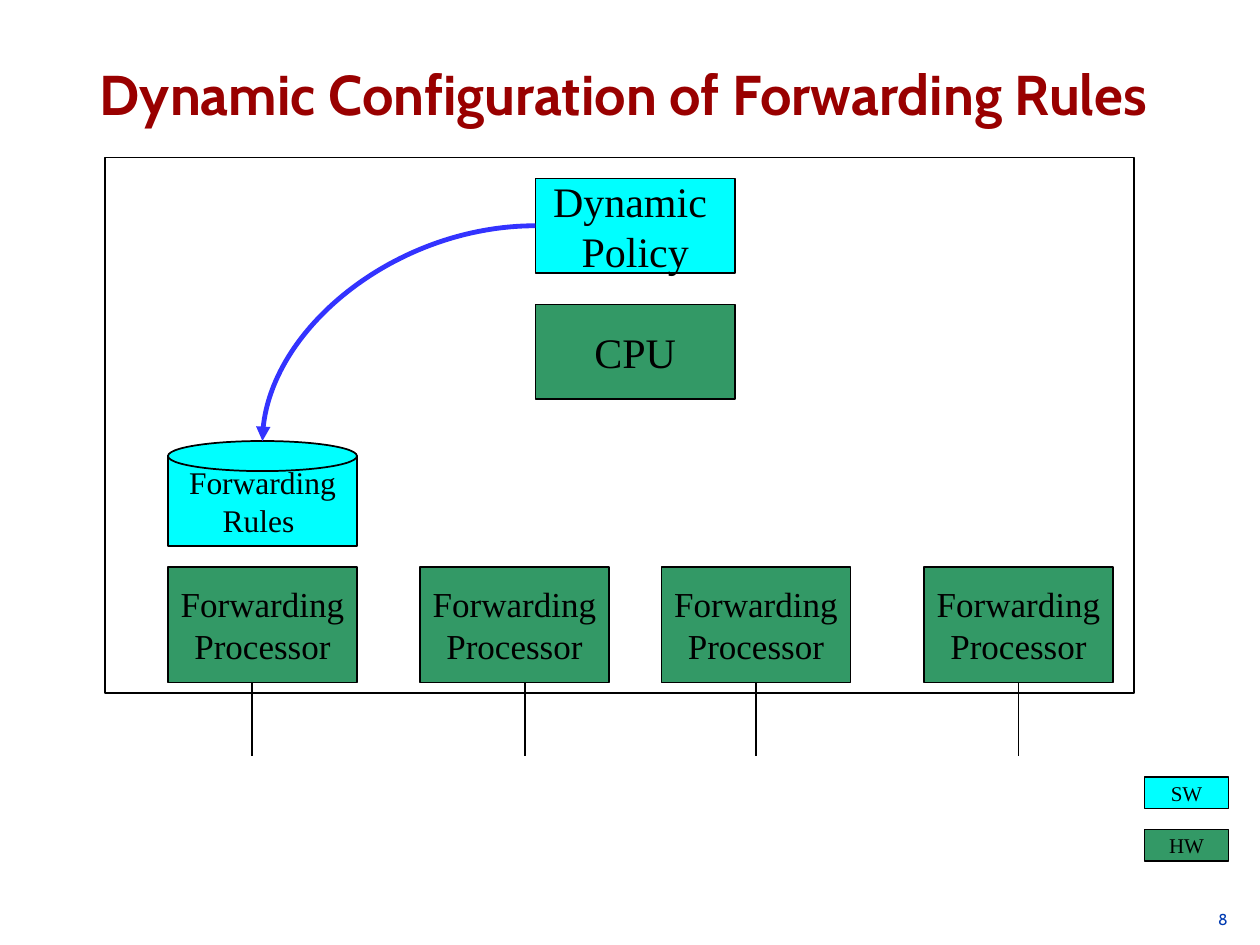
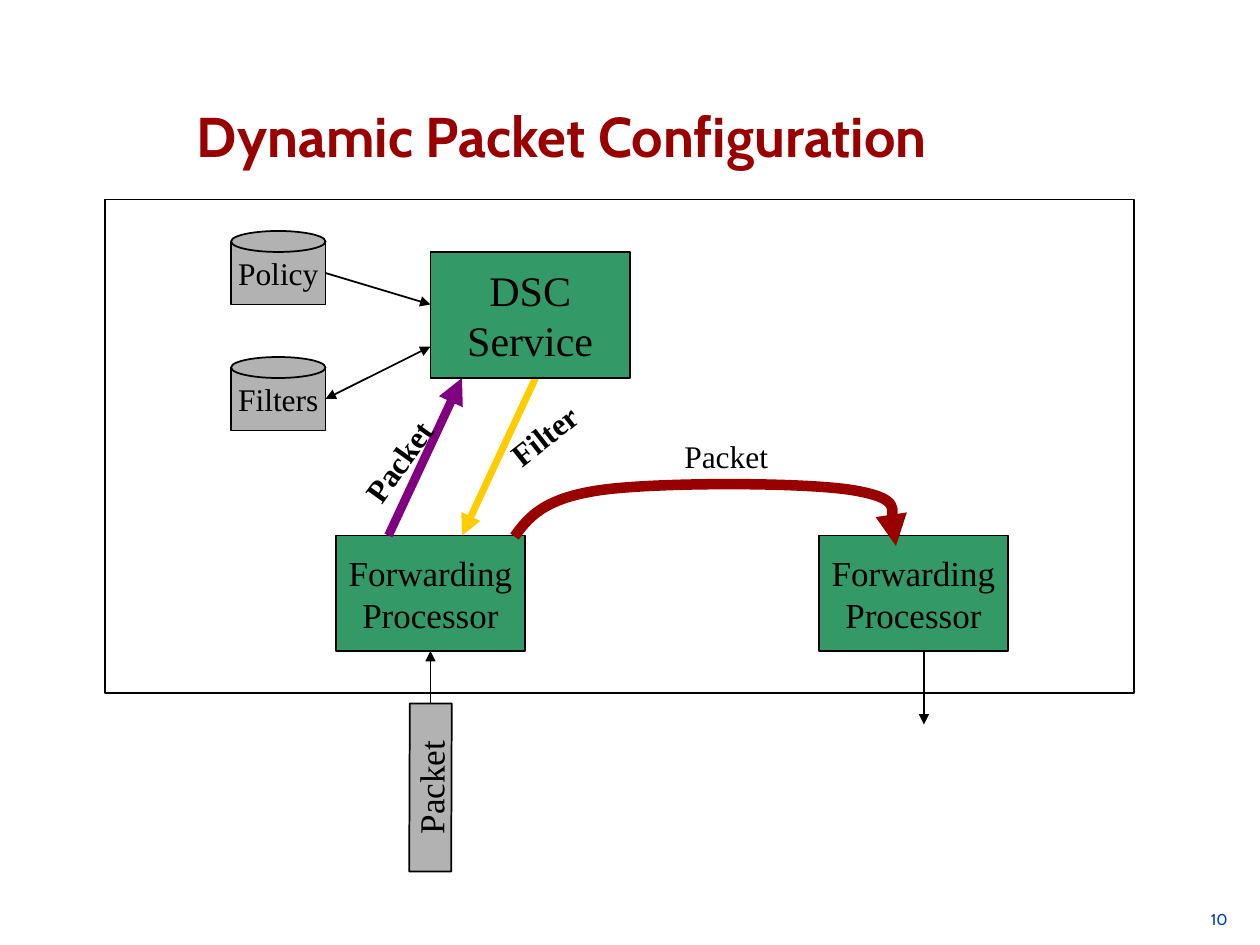
"""Build two slides on dynamic forwarding rules and packet configuration."""
from dataclasses import dataclass
from typing import Any, NamedTuple

from lxml.etree import SubElement
from pptx import Presentation
from pptx.dml.color import RGBColor
from pptx.enum.shapes import MSO_CONNECTOR as CONN, MSO_SHAPE as SHAPE
from pptx.enum.text import MSO_ANCHOR as ANCHOR, MSO_AUTO_SIZE as AUTO, PP_ALIGN as ALIGN
from pptx.oxml.ns import qn
from pptx.util import Pt


@dataclass(frozen=True)
class Theme:
    """Colours, fonts and type sizes of the deck."""
    title: str = "990000"
    number: str = "003BB2"
    ink: str = "000000"
    hardware: str = "339966"
    software: str = "00FFFF"
    store: str = "B2B2B2"
    policy_flow: str = "3333FF"
    packet_flow: str = "800080"
    filter_flow: str = "FFCC00"
    forward_flow: str = "990000"
    heading_font: str = "Cabin"
    body_font: str = "Times New Roman"
    title_size: float = 32
    large: float = 24
    medium: float = 20
    label: float = 18
    legend: float = 12
    number_size: float = 9
    thin: float = 0.75
    line: float = 1


T = Theme()


class Box(NamedTuple):
    """Left, top, width and height in points."""
    x: float
    y: float
    w: float
    h: float


@dataclass(frozen=True)
class Node:
    """A filled rectangle with centred text."""
    text: str
    box: Box
    fill: str | None = T.hardware
    size: float = T.medium
    weight: float = T.thin
    rotation: float = 0


@dataclass(frozen=True)
class Cylinder:
    """A data store with an elliptical lid."""
    text: str
    body: Box
    lid_height: float
    fill: str


@dataclass(frozen=True)
class Label:
    """Free text over the diagram."""
    text: str
    box: Box
    rotation: float = 0
    bold: bool = False
    wrap: bool = True


@dataclass(frozen=True)
class Link:
    """A straight line with optional arrowheads."""
    start: tuple[float, float]
    end: tuple[float, float]
    color: str = T.ink
    weight: float = T.line
    ends: tuple[str, ...] = ()


def apply(obj: Any, **fmt: Any) -> None:
    """Set each attribute named in the format."""
    for name, value in fmt.items():
        setattr(obj, name, value)


def points(values: tuple[float, ...]) -> list[Pt]:
    """Convert numbers to point lengths."""
    return [Pt(v) for v in values]


def write(sp: Any, text: str, size: float, color: str = T.ink, font: str = T.body_font,
          bold: bool = False, align: Any = ALIGN.CENTER, anchor: Any = ANCHOR.MIDDLE,
          wrap: bool = False, inset: tuple[float, float] = (7.2, 3.6),
          spacing: float = 1.0) -> None:
    """Fill a shape with formatted text, one paragraph a line."""
    tf = sp.text_frame
    tf.text = text
    side, edge = points(inset)
    apply(tf, auto_size=AUTO.NONE, word_wrap=wrap, vertical_anchor=anchor,
          margin_left=side, margin_right=side, margin_top=edge, margin_bottom=edge)
    for p in tf.paragraphs:
        apply(p, alignment=align, line_spacing=spacing)
        for r in p.runs:
            apply(r.font, name=font, size=Pt(size), bold=bold)
            r.font.color.rgb = RGBColor.from_string(color)


def outline(sp: Any, color: str, weight: float) -> None:
    """Set the line colour and width."""
    sp.line.color.rgb = RGBColor.from_string(color)
    sp.line.width = Pt(weight)


def add_preset(shapes: Any, kind: Any, box: Box, fill: str | None, weight: float) -> Any:
    """Add a flat preset shape."""
    sp = shapes.add_shape(kind, *points(box))
    sp.shadow.inherit = False
    if fill:
        sp.fill.solid()
        sp.fill.fore_color.rgb = RGBColor.from_string(fill)
    else:
        sp.fill.background()
    outline(sp, T.ink, weight)
    return sp


def add_node(shapes: Any, node: Node) -> Any:
    """Add a labelled rectangle."""
    sp = add_preset(shapes, SHAPE.RECTANGLE, node.box, node.fill, node.weight)
    sp.rotation = node.rotation
    if node.text:
        write(sp, node.text, node.size)
    return sp


def add_cylinder(s: Any, store: Cylinder) -> Any:
    """Add a grouped data store and return its lid."""
    shapes = s.shapes.add_group_shape().shapes
    add_node(shapes, Node(store.text, store.body, store.fill, T.label, T.line))
    x, y, w, _ = store.body
    lid = Box(x, y - store.lid_height / 2, w, store.lid_height)
    return add_preset(shapes, SHAPE.OVAL, lid, store.fill, T.line)


def add_label(s: Any, label: Label) -> None:
    """Add free text."""
    sp = s.shapes.add_textbox(*points(label.box))
    sp.rotation = label.rotation
    write(sp, label.text, T.label, bold=label.bold, wrap=label.wrap)


def add_heads(sp: Any, ends: tuple[str, ...]) -> None:
    """Add triangular arrowheads to a line."""
    ln = sp._element.spPr.get_or_add_ln()
    for end in ends:
        SubElement(ln, qn(f"a:{end}"), type="triangle")


def add_link(s: Any, link: Link, kind: Any = CONN.STRAIGHT) -> Any:
    """Add a flat connector."""
    c = s.shapes.add_connector(kind, *points(link.start + link.end))
    outline(c, link.color, link.weight)
    add_heads(c, link.ends)
    SubElement(c._element.spPr, qn("a:effectLst"))
    return c


def add_curve(s: Any, path: list[tuple[float, float]], color: str, weight: float) -> None:
    """Add an open cubic curve ending in an arrowhead."""
    start, *rest = [tuple(points(xy)) for xy in path]
    builder = s.shapes.build_freeform(*start, scale=1.0)
    builder.add_line_segments(rest, close=False)
    sp = builder.convert_to_shape()
    sp.shadow.inherit = False
    sp.fill.background()
    outline(sp, color, weight)
    add_heads(sp, ("tailEnd",))
    geometry = next(sp._element.iter(qn("a:path")))
    segments = geometry.findall(qn("a:lnTo"))
    for i in range(0, len(segments), 3):
        bezier = SubElement(geometry, qn("a:cubicBezTo"))
        for segment in segments[i:i + 3]:
            bezier.append(segment[0])
            geometry.remove(segment)


def start_slide(prs: Any, title: str, box: Box, number: int) -> Any:
    """Add a slide with its title and number."""
    s = prs.slides.add_slide(prs.slide_layouts[5])
    sp = s.shapes.title
    apply(sp, **dict(zip(("left", "top", "width", "height"), points(box))))
    write(sp, title, T.title_size, T.title, T.heading_font, bold=True,
          anchor=ANCHOR.BOTTOM, wrap=True, inset=(3.6, 3.6), spacing=0.93)
    sp = s.shapes.add_textbox(*points(Box(484.5, 520, 223.5, 12)))
    write(sp, str(number), T.number_size, T.number, T.heading_font,
          align=ALIGN.RIGHT, anchor=ANCHOR.TOP, wrap=True, inset=(6.5, 0))
    return s


def processor(x: float, y: float) -> Node:
    """Describe a forwarding processor."""
    return Node("Forwarding\nProcessor", Box(x, y, 108, 66))


def build_rules(prs: Any) -> None:
    """Draw the forwarding rules slide."""
    s = start_slide(prs, "Dynamic Configuration of Forwarding Rules ", Box(0, 24, 720, 52.5), 8)
    add_node(s.shapes, Node("CPU", Box(306, 174, 114, 54), size=T.large))
    for x, port in ((96, 144), (240, 300), (378, 432), (528, 582)):
        add_node(s.shapes, processor(x, 324))
        add_link(s, Link((port, 390), (port, 432)))
    add_node(s.shapes, Node("", Box(60, 90, 588, 306), None))
    lid = add_cylinder(s, Cylinder("Forwarding\nRules ", Box(96, 260.6, 108, 51.4), 17.2,
                                   T.software))
    policy = add_node(s.shapes, Node("Dynamic \nPolicy", Box(306, 102, 114, 54),
                                     T.software, T.large, T.line))
    flow = add_link(s, Link((306, 129), (150, 252), T.policy_flow, 2.75, ("tailEnd",)),
                    CONN.CURVE)
    flow._element.spPr.find(qn("a:prstGeom")).set("prst", "curvedConnector2")
    flow.begin_connect(policy, 1)
    flow.end_connect(lid, 0)
    for text, y, fill, weight in (("SW", 444, T.software, T.line),
                                  ("HW", 474, T.hardware, T.thin)):
        add_node(s.shapes, Node(text, Box(654, y, 48, 18), fill, T.legend, weight))


def build_packets(prs: Any) -> None:
    """Draw the packet configuration slide."""
    s = start_slide(prs, "Dynamic Packet Configuration", Box(12, 48, 618.5, 52.5), 10)
    for x in (192, 468):
        add_node(s.shapes, processor(x, 306))
    add_node(s.shapes, Node("", Box(60, 114, 588, 282), None))
    both = ("headEnd", "tailEnd")
    for link in (
        Link((246, 414), (246, 372), ends=("tailEnd",)),
        Link((528, 372), (528, 414), ends=("tailEnd",)),
        Link((222, 306), (264, 216), T.packet_flow, 5, ("tailEnd",)),
        Link((186, 156), (246, 174), ends=("tailEnd",)),
        Link((186, 228), (246, 198), ends=both),
        Link((306, 216), (264, 306), T.filter_flow, 4, ("tailEnd",)),
    ):
        add_link(s, link)
    add_curve(s, [(294, 306.6), (301.8, 296), (310, 285), (342.5, 280.2),
                  (374.5, 275.5), (459.5, 275.5), (487.6, 280.2),
                  (516, 285), (507.6, 302), (512, 306.6),
                  (516, 312), (514, 312), (512, 312)], T.forward_flow, 6)
    add_node(s.shapes, Node("Packet", Box(198, 438, 96, 24), T.store, weight=T.line,
                            rotation=270.2))
    for text, y in (("Policy", 138), ("Filters", 210)):
        add_cylinder(s, Cylinder(text, Box(132, y, 54, 36), 12, T.store))
    for label in (
        Label("Packet", Box(384, 246, 62, 29), wrap=False),
        Label("Packet", Box(191.5, 249, 72, 29), 305.6, True),
        Label("Filter", Box(282, 234, 57.6, 29), 321.8, True),
    ):
        add_label(s, label)
    add_node(s.shapes, Node("DSC\nService", Box(246, 144, 114, 72), size=T.large))


def main() -> None:
    """Build and save the deck."""
    prs = Presentation()
    apply(prs, slide_width=Pt(720), slide_height=Pt(540))
    build_rules(prs)
    build_packets(prs)
    prs.save("out.pptx")


if __name__ == "__main__":
    main()
